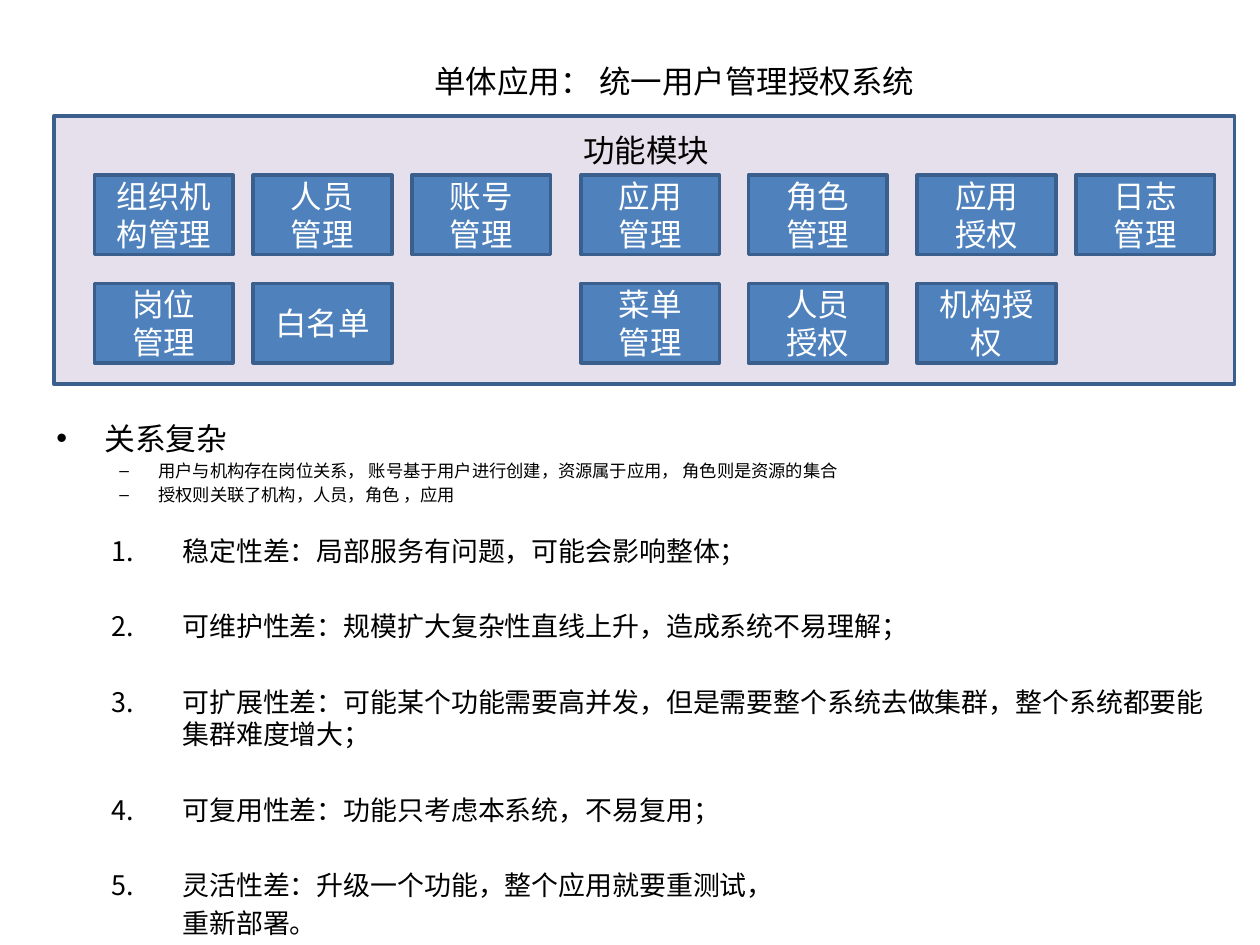
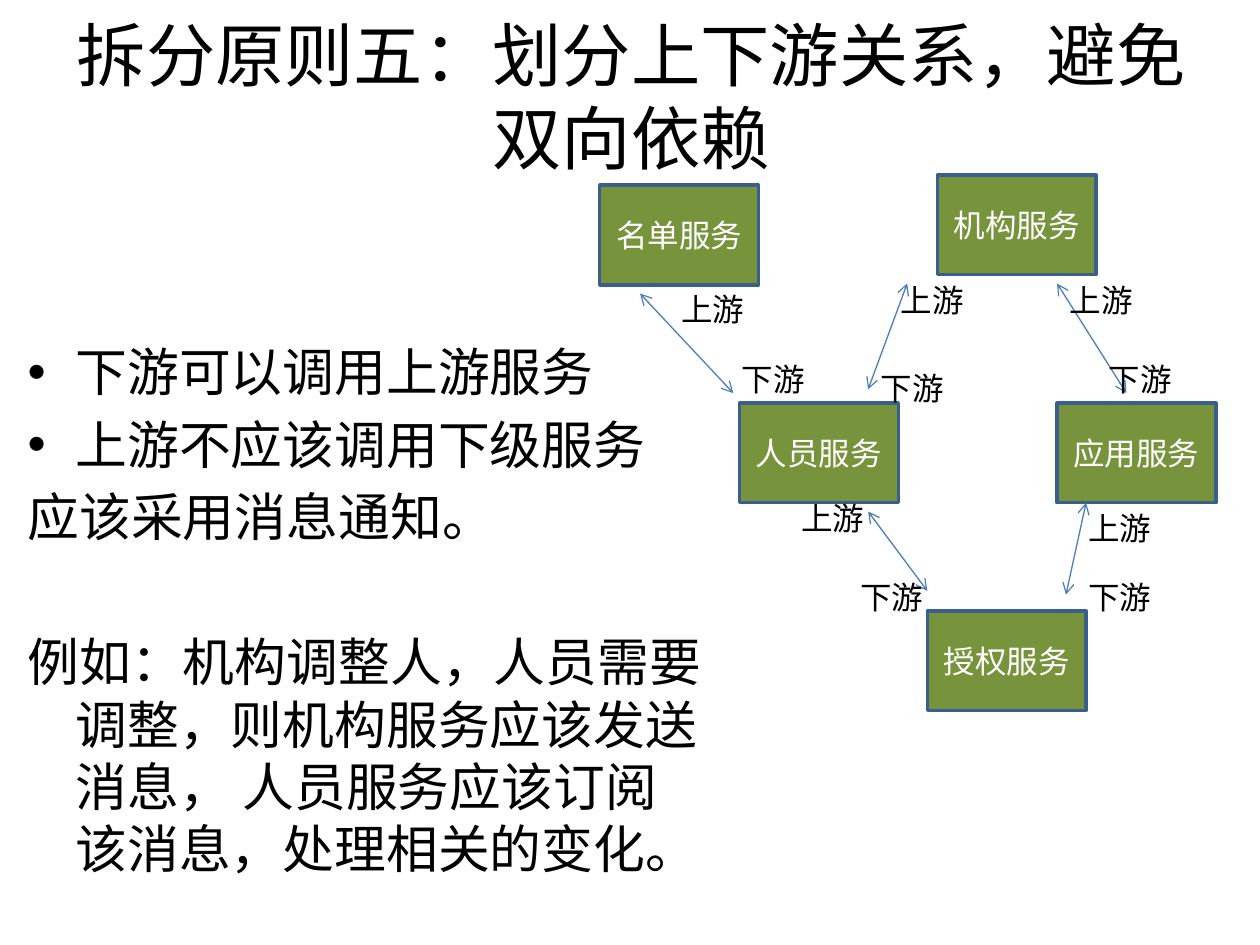
from dataclasses import dataclass

from lxml import etree
from pptx import Presentation
from pptx.dml.color import RGBColor
from pptx.enum.shapes import MSO_CONNECTOR, MSO_SHAPE
from pptx.enum.text import MSO_ANCHOR, PP_ALIGN
from pptx.oxml.ns import qn
from pptx.util import Inches, Pt

RECTANGLE = MSO_SHAPE.RECTANGLE
STRAIGHT = MSO_CONNECTOR.STRAIGHT
TOP, MIDDLE = MSO_ANCHOR.TOP, MSO_ANCHOR.MIDDLE
LEFT, CENTER = PP_ALIGN.LEFT, PP_ALIGN.CENTER


@dataclass(frozen=True)
class Theme:
    font: str = "Calibri"
    bullet_font: str = "Arial"
    ink: str = "000000"
    paper: str = "FFFFFF"
    panel: str = "E6E0EC"
    module: str = "4F81BD"
    service: str = "77933C"
    border: str = "3A5F8C"
    arrow: str = "4B7EBC"
    title: float = 39.6
    body: float = 29.6
    label: float = 18
    heading: float = 17.6
    item: float = 15.4
    detail: float = 9.9
    border_width: float = 2
    arrow_width: float = 0.75
    line_height: float = 1.2
    before: float = 0.2


THEME = Theme()

SYSTEM_TITLE = ("单体应用： 统一用户管理授权系统", (3.35, 0.44, 4.33, 0.4))
PANEL_TITLE = ("功能模块", (4.53, 0.99, 1.5, 0.4))
PANEL_AREA = (0.43, 0.92, 9.37, 2.13)
MODULE_COLUMNS = (0.75, 2.01, 3.27, 4.61, 5.94, 7.28, 8.54)
MODULE_ROWS = (1.39, 2.25)
MODULE_SIZE = (1.1, 0.63)
MODULES = (
    ("组织机构管理", "人员\n管理", "账号\n管理", "应用\n管理", "角色\n管理", "应用\n授权", "日志\n管理"),
    ("岗位\n管理", "白名单", None, "菜单\n管理", "人员\n授权", "机构授权", None),
)
PROBLEM_AREA = (0.35, 3.28, 9.37, 3.94)
PROBLEM_HEADING = "关系复杂"
PROBLEM_DETAILS = (
    "用户与机构存在岗位关系， 账号基于用户进行创建，资源属于应用， 角色则是资源的集合",
    "授权则关联了机构，人员，角色 ，应用",
)
PROBLEMS = (
    "稳定性差：局部服务有问题，可能会影响整体；",
    "可维护性差：规模扩大复杂性直线上升，造成系统不易理解；",
    "可扩展性差：可能某个功能需要高并发，但是需要整个系统去做集群，整个系统都要能集群难度增大；",
    "可复用性差：功能只考虑本系统，不易复用；",
    "灵活性差：升级一个功能，整个应用就要重测试，",
)
PROBLEM_END = "重新部署。"

PRINCIPLE = ("拆分原则五：划分上下游关系，避免双向依赖", (0.51, 0.21, 9, 1.1))
RULE_AREA = (0.12, 2.65, 5.59, 4.09)
RULES = ("下游可以调用上游服务", "上游不应该调用下级服务")
RULE_END = "应该采用消息通知。"
RULE_EXAMPLE = "例如：机构调整人，人员需要调整，则机构服务应该发送消息， 人员服务应该订阅该消息，处理相关的变化。"
SERVICE_SIZE = (1.26, 0.79)
SERVICES = {
    "机构服务": (7.44, 1.39),
    "人员服务": (5.87, 3.2),
    "应用服务": (8.39, 3.2),
    "授权服务": (7.36, 4.85),
    "名单服务": (4.76, 1.47),
}
DEPENDENCIES = (
    ((5.08, 2.33), (5.82, 3.12)),
    ((8.39, 2.25), (8.94, 3.12)),
    ((8.62, 3.99), (8.46, 4.72)),
    ((7.36, 4.69), (6.89, 4.06)),
    ((7.2, 2.25), (6.89, 3.09)),
)
ROLE_SIZE = (0.8, 0.4)
ROLES = {
    "上游": ((5.31, 2.25), (7.05, 2.18), (8.39, 2.18), (8.54, 3.99), (6.26, 3.91)),
    "下游": ((5.79, 2.81), (6.89, 2.88), (8.7, 2.81), (8.54, 4.54), (6.73, 4.54)),
}


def apply(target, values):
    for name, value in values.items():
        setattr(target, name, value)


def rgb(color):
    return RGBColor.from_string(color)


def gap(*skipped_sizes, size):
    skipped = sum(skip * (THEME.line_height + THEME.before) for skip in skipped_sizes)
    return skipped + size * THEME.before


def entry(text, size, before=0, margin=0, hanging=0, bullet=None):
    return {"text": text, "size": size, "before": before,
            "margin": margin, "hanging": hanging, "bullet": bullet}


def set_indent(para, item):
    properties = para._p.get_or_add_pPr()
    properties.set("marL", str(Inches(item["margin"])))
    properties.set("indent", str(Inches(-item["hanging"])))
    if item["bullet"] == "1.":
        etree.SubElement(properties, qn("a:buFont"), typeface=THEME.font)
        etree.SubElement(properties, qn("a:buAutoNum"), type="arabicPeriod")
    elif item["bullet"]:
        etree.SubElement(properties, qn("a:buFont"), typeface=THEME.bullet_font)
        etree.SubElement(properties, qn("a:buChar"), char=item["bullet"])
    else:
        etree.SubElement(properties, qn("a:buNone"))


def write(shape, items, color=THEME.ink, align=LEFT, anchor=TOP):
    frame = shape.text_frame
    apply(frame, {"word_wrap": True, "vertical_anchor": anchor})
    for index, item in enumerate(items):
        para = frame.paragraphs[0] if index == 0 else frame.add_paragraph()
        apply(para, {"alignment": align, "space_before": Pt(item["before"])})
        set_indent(para, item)
        span = para.add_run()
        span.text = item["text"]
        apply(span.font, {"name": THEME.font, "size": Pt(item["size"])})
        span.font.color.rgb = rgb(color)


def add_text(page, area, items, **layout):
    write(page.shapes.add_textbox(*map(Inches, area)), items, **layout)


def add_label(page, text, area):
    add_text(page, area, [entry(text, THEME.label)])


def add_box(page, area, fill, text=""):
    box = page.shapes.add_shape(RECTANGLE, *map(Inches, area))
    box.shadow.inherit = False
    box.fill.solid()
    box.fill.fore_color.rgb = rgb(fill)
    box.line.color.rgb = rgb(THEME.border)
    box.line.width = Pt(THEME.border_width)
    if text:
        lines = [entry(line, THEME.label) for line in text.split("\n")]
        write(box, lines, THEME.paper, CENTER, MIDDLE)


def add_double_arrow(page, start, end):
    arrow = page.shapes.add_connector(STRAIGHT, *map(Inches, start + end))
    arrow.line.color.rgb = rgb(THEME.arrow)
    arrow.line.width = Pt(THEME.arrow_width)
    outline = arrow.line._get_or_add_ln()
    for tip in ("a:headEnd", "a:tailEnd"):
        etree.SubElement(outline, qn(tip), type="arrow")
    etree.SubElement(arrow._element.spPr, qn("a:effectLst"))


def problem_entries():
    heading, item, detail = THEME.heading, THEME.item, THEME.detail
    entries = [entry(PROBLEM_HEADING, heading, gap(size=heading), 0.38, 0.38, "•")]
    entries += [entry(text, detail, gap(size=detail), 0.81, 0.31, "–")
                for text in PROBLEM_DETAILS]
    for index, text in enumerate(PROBLEMS):
        skipped = item if index else detail
        entries.append(entry(text, item, gap(skipped, size=item), 1, 0.56, "1."))
    return entries + [entry(PROBLEM_END, item, gap(size=item), 1)]


def rule_entries():
    size = THEME.body
    before = gap(size=size)
    entries = [entry(text, size, before, 0.38, 0.38, "•") for text in RULES]
    entries.append(entry(RULE_END, size, before, 0.38, 0.38))
    entries.append(entry(RULE_EXAMPLE, size, gap(size, size=size), 0.38, 0.38))
    return entries


def build_monolith(page):
    add_text(page, PROBLEM_AREA, problem_entries())
    add_box(page, PANEL_AREA, THEME.panel)
    for top, row in zip(MODULE_ROWS, MODULES):
        for left, name in zip(MODULE_COLUMNS, row):
            if name:
                add_box(page, (left, top) + MODULE_SIZE, THEME.module, name)
    for text, area in (PANEL_TITLE, SYSTEM_TITLE):
        add_label(page, text, area)


def build_dependencies(page):
    title, area = PRINCIPLE
    add_text(page, area, [entry(title, THEME.title)], align=CENTER, anchor=MIDDLE)
    for name, position in SERVICES.items():
        add_box(page, position + SERVICE_SIZE, THEME.service, name)
    for start, end in DEPENDENCIES:
        add_double_arrow(page, start, end)
    for role, positions in ROLES.items():
        for position in positions:
            add_label(page, role, position + ROLE_SIZE)
    add_text(page, RULE_AREA, rule_entries())


def main():
    deck = Presentation()
    apply(deck, {"slide_width": Inches(10), "slide_height": Inches(7.5)})
    blank = deck.slide_layouts[6]
    for build in (build_monolith, build_dependencies):
        build(deck.slides.add_slide(blank))
    deck.save("out.pptx")


if __name__ == "__main__":
    main()
